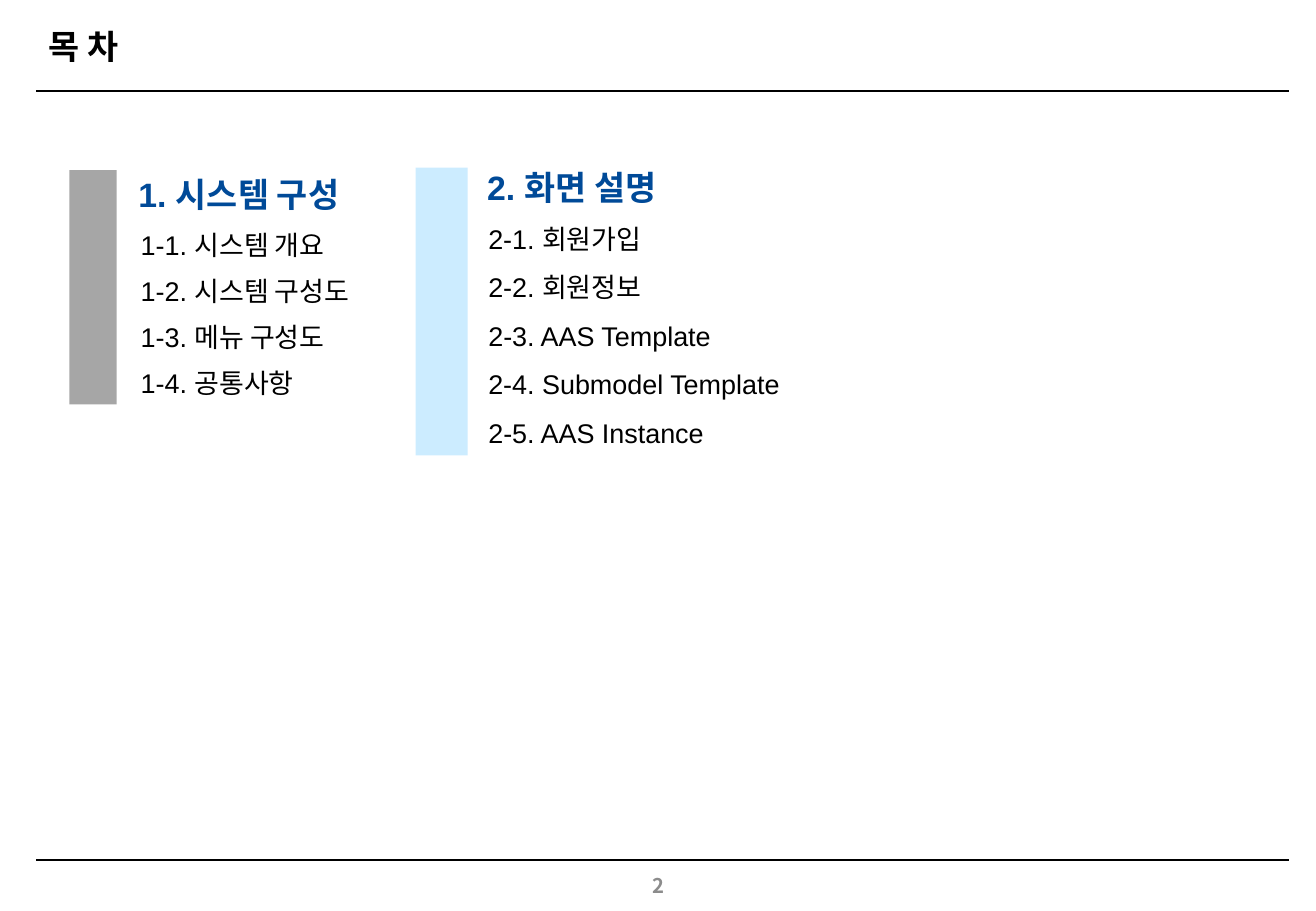
from dataclasses import dataclass

from lxml import etree
from pptx import Presentation
from pptx.dml.color import RGBColor
from pptx.enum.shapes import MSO_CONNECTOR, MSO_SHAPE
from pptx.enum.text import MSO_ANCHOR, MSO_AUTO_SIZE, PP_ALIGN
from pptx.oxml.ns import qn
from pptx.util import Inches, Pt

LINE = MSO_CONNECTOR.STRAIGHT
RECT = MSO_SHAPE.RECTANGLE
MIDDLE = MSO_ANCHOR.MIDDLE
GROW = MSO_AUTO_SIZE.SHAPE_TO_FIT_TEXT
LEFT, CENTER = PP_ALIGN.LEFT, PP_ALIGN.CENTER


@dataclass(frozen=True)
class Theme:
    """Fonts, colours and type sizes of the slide."""
    latin: str = "Arial"
    korean: str = "Noto Sans CJK KR"
    ink: str = "000000"
    heading: str = "004A98"
    page: str = "8C8C8C"
    gray_bar: str = "A6A6A6"
    blue_bar: str = "CCECFF"
    title_size: int = 20
    item_size: int = 16
    page_size: int = 12


class SlideBuilder:
    """Adds styled elements to one slide."""

    def __init__(self, prs, theme):
        """Create a title-only slide."""
        self.theme = theme
        self.s = prs.slides.add_slide(prs.slide_layouts[5])

    def style(self, p, size, color, bold=False, font=None):
        """Format every run of a paragraph."""
        for r in p.runs:
            r.font.name = font or self.theme.latin
            r.font.size = Pt(size)
            r.font.bold = bold
            r.font.color.rgb = RGBColor.from_string(color)
            ea = etree.SubElement(r.font._element, qn("a:ea"))
            ea.set("typeface", self.theme.korean)

    def title(self, text, x, y, w, h):
        """Place and fill the title placeholder."""
        sp = self.s.shapes.title
        sp.left, sp.top, sp.width, sp.height = map(Inches, (x, y, w, h))
        tf = sp.text_frame
        tf.text = text
        tf.vertical_anchor = MIDDLE
        p = tf.paragraphs[0]
        p.alignment = LEFT
        self.style(p, self.theme.title_size, self.theme.ink, True, self.theme.korean)

    def rule(self, x1, x2, y, width):
        """Draw a horizontal line."""
        line = self.s.shapes.add_connector(LINE, Inches(x1), Inches(y), Inches(x2), Inches(y))
        line.line.color.rgb = RGBColor.from_string(self.theme.ink)
        line.line.width = Pt(width)
        etree.SubElement(line._element.spPr, qn("a:effectLst"))

    def bar(self, shapes, x, y, w, h, color):
        """Draw a plain filled rectangle."""
        sp = shapes.add_shape(RECT, Inches(x), Inches(y), Inches(w), Inches(h))
        sp.shadow.inherit = False
        sp.fill.solid()
        sp.fill.fore_color.rgb = RGBColor.from_string(color)
        sp.line.fill.background()

    def label(self, shapes, text, x, y, w, h):
        """Add a one-line text box and return its paragraph."""
        sp = shapes.add_textbox(Inches(x), Inches(y), Inches(w), Inches(h))
        tf = sp.text_frame
        tf.word_wrap = False
        tf.auto_size = GROW
        tf.text = text
        return tf.paragraphs[0]

    def section(self, bar, color, heading, items, x, y, pitch):
        """Group a bar, a heading and its evenly spaced items."""
        shapes = self.s.shapes.add_group_shape().shapes
        self.bar(shapes, *bar, color)
        p = self.label(shapes, *heading)
        self.style(p, self.theme.title_size, self.theme.heading, True)
        for i, (text, w) in enumerate(items):
            p = self.label(shapes, text, x, y + i * pitch, w, 0.37)
            self.style(p, self.theme.item_size, self.theme.ink)

    def page_number(self, text, x, y, w, h):
        """Add the centred page number."""
        p = self.label(self.s.shapes, text, x, y, w, h)
        p.alignment = CENTER
        self.style(p, self.theme.page_size, self.theme.page, True, self.theme.korean)


def main():
    """Build the contents slide."""
    prs = Presentation()
    prs.slide_width, prs.slide_height = Inches(10.83), Inches(7.5)
    theme = Theme()
    b = SlideBuilder(prs, theme)
    b.title("목 차", 0.3, 0.09, 10.32, 0.58)
    b.rule(0.3, 10.61, 0.75, 1)
    b.rule(0.3, 10.61, 7.08, 0.75)
    b.section(
        (0.57, 1.4, 0.39, 1.93), theme.gray_bar,
        ("1. 시스템 구성", 1.04, 1.38, 2.04, 0.44),
        [("1-1. 시스템 개요", 1.87), ("1-2. 시스템 구성도", 2.18),
         ("1-3. 메뉴 구성도", 1.87), ("1-4. 공통사항", 1.57)],
        1.06, 1.83, 0.38)
    b.section(
        (3.42, 1.38, 0.43, 2.37), theme.blue_bar,
        ("2. 화면 설명", 3.91, 1.32, 1.76, 0.44),
        [("2-1. 회원가입", 1.57), ("2-2. 회원정보", 1.57),
         ("2-3. AAS Template", 2.09), ("2-4. Submodel Template", 2.7),
         ("2-5. AAS Instance", 2.01)],
        3.92, 1.78, 0.4)
    b.page_number("2", 5.08, 7.14, 0.68, 0.31)
    prs.save("out.pptx")


if __name__ == "__main__":
    main()
